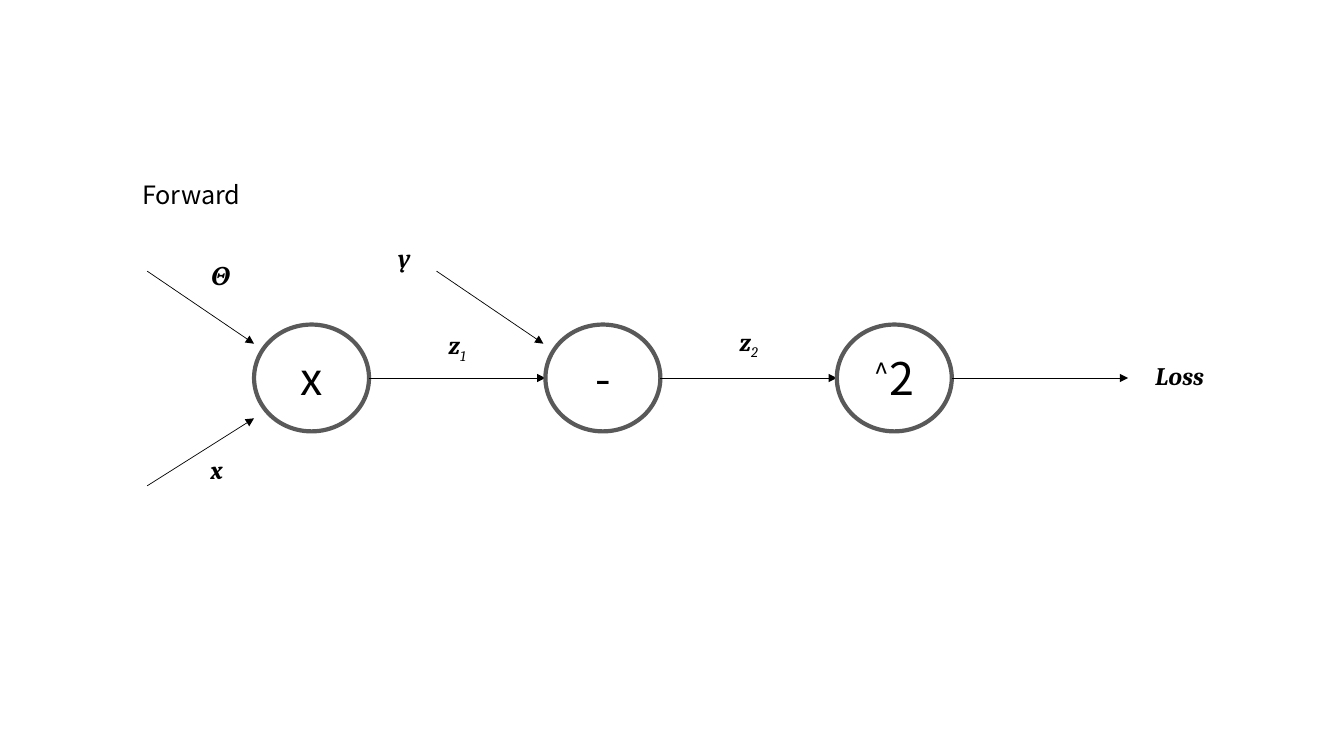
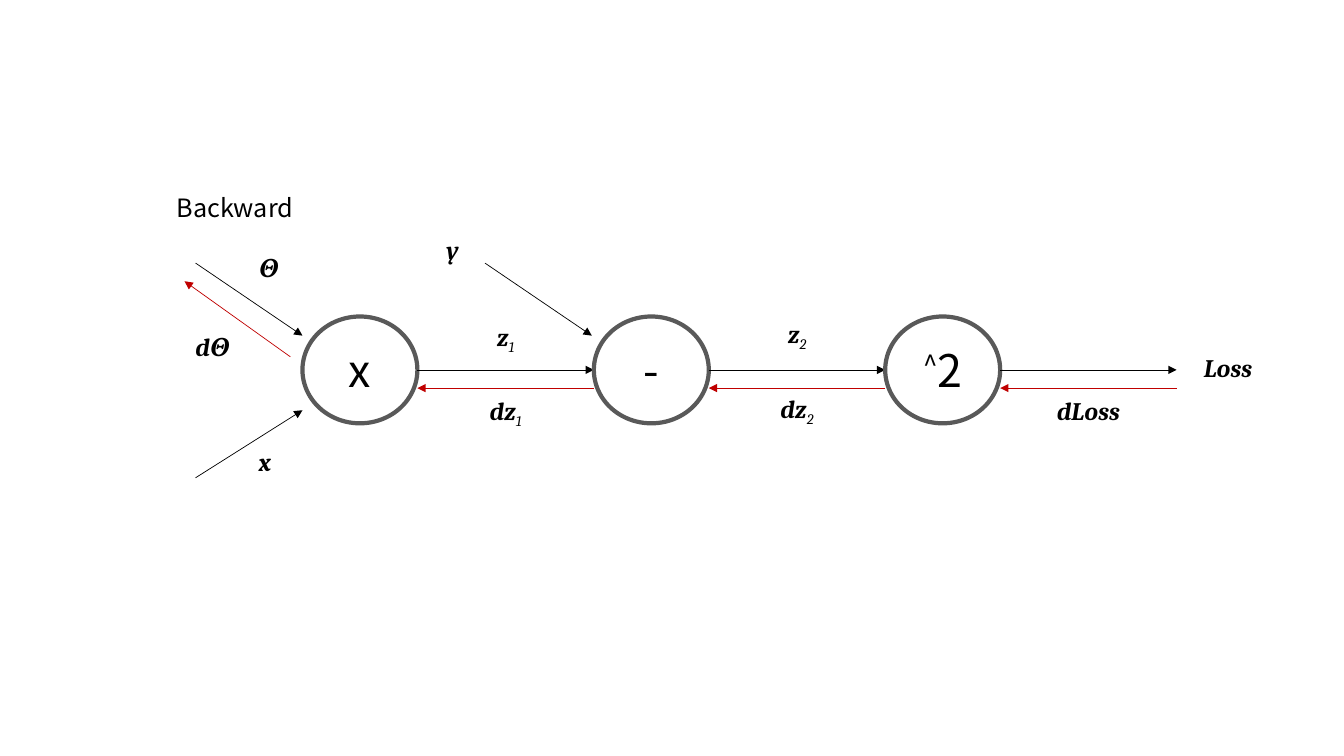
from lxml import etree
from pptx import Presentation
from pptx.dml.color import RGBColor
from pptx.enum.shapes import MSO_CONNECTOR, MSO_SHAPE
from pptx.enum.text import MSO_ANCHOR, MSO_AUTO_SIZE, PP_ALIGN
from pptx.oxml.ns import qn
from pptx.util import Inches, Pt

LEFT, CENTER = PP_ALIGN.LEFT, PP_ALIGN.CENTER
TOP, MIDDLE = MSO_ANCHOR.TOP, MSO_ANCHOR.MIDDLE
GROW = MSO_AUTO_SIZE.SHAPE_TO_FIT_TEXT
STRAIGHT, ELLIPSE = MSO_CONNECTOR.STRAIGHT, MSO_SHAPE.OVAL

BLACK = RGBColor(0x00, 0x00, 0x00)
WHITE = RGBColor(0xFF, 0xFF, 0xFF)
GRAY = RGBColor(0x59, 0x59, 0x59)
RED = RGBColor(0xC0, 0x00, 0x00)
SANS, SERIF = "Noto Sans CJK KR", "Cambria"

NODE_W, NODE_H, GAP = 1.14, 1.06, 1.75
PITCH = NODE_W + GAP
LABEL_W, GRADIENT_W, LABEL_H = 0.7, 0.96, 0.4
RETURN_DROP = 0.18

SUB, SUPER = -25, 30
OPERATIONS = [[("x", 0)], [("-", 0)], [("^", SUPER), ("2", 0)]]
VALUES = [([("z", 0), ("1", SUB)], -0.53), ([("z", 0), ("2", SUB)], -0.56)]
LOSS = [("Loss", 0)]
# name, node, arrow start, arrow end, label corner
INPUTS = [
    ("Θ", 0, (-1.06, -1.06), (0, -0.34), (-0.53, -1.22)),
    ("x", 0, (-1.06, 1.07), (0, 0.4), (-0.53, 0.71)),
    ("y", 1, (-1.08, -1.06), (-0.02, -0.34), (-1.56, -1.39)),
]
GRADIENTS = [
    ([("dz", 0), ("1", SUB)], 0.2),
    ([("dz", 0), ("2", SUB)], 0.18),
    ([("dLoss", 0)], 0.2),
]
THETA_GRADIENT = ([("dΘ", 0)], (-0.12, -0.13), (-1.17, -0.88), (-1.37, -0.43))

PASSES = [
    {"title": "Forward", "title_at": (1.31, 1.73), "origin": (2.52, 3.75), "gradients": False},
    {"title": "Backward", "title_at": (1.65, 1.86), "origin": (3.0, 3.67), "gradients": True},
]


def write(frame, runs, font=SERIF, size=18, emphasis=True, align=LEFT, anchor=TOP, fit=GROW):
    frame.word_wrap = True
    frame.auto_size = fit
    frame.vertical_anchor = anchor
    line = frame.paragraphs[0]
    line.alignment = align
    for text, shift in runs:
        run = line.add_run()
        run.text = text
        run.font.name = font
        run.font.size = Pt(size)
        run.font.color.rgb = BLACK
        run.font.bold = emphasis and shift == 0
        run.font.italic = emphasis
        if shift:
            run.font._element.set("baseline", str(shift * 1000))


def add_label(slide, runs, left, top, width=LABEL_W, align=CENTER):
    label = slide.shapes.add_textbox(*map(Inches, (left, top, width, LABEL_H)))
    write(label.text_frame, runs, align=align)


def add_arrow(slide, start, end, color=BLACK):
    arrow = slide.shapes.add_connector(STRAIGHT, *map(Inches, (*start, *end)))
    arrow.line.color.rgb = color
    arrow.line.width = Pt(0.5)
    head = etree.SubElement(arrow.line._get_or_add_ln(), qn("a:tailEnd"))
    head.set("type", "triangle")
    etree.SubElement(arrow._element.spPr, qn("a:effectLst"))


def add_node(slide, runs, left, axis):
    node = slide.shapes.add_shape(
        ELLIPSE, *map(Inches, (left, axis - NODE_H / 2, NODE_W, NODE_H)))
    node.shadow.inherit = False
    node.fill.solid()
    node.fill.fore_color.rgb = WHITE
    node.line.color.rgb = GRAY
    node.line.width = Pt(3)
    write(node.text_frame, runs, font=SANS, size=32, emphasis=False,
          align=CENTER, anchor=MIDDLE, fit=MSO_AUTO_SIZE.NONE)


def add_title(slide, text, left, top):
    title = slide.shapes.title
    title.left, title.top, title.width, title.height = map(
        Inches, (left, top, 4.39, LABEL_H))
    write(title.text_frame, [(text, 0)], font=SANS, emphasis=False)


def add_forward(slide, x, axis):
    for i, operation in enumerate(OPERATIONS):
        left = x + i * PITCH
        add_node(slide, operation, left, axis)
        add_arrow(slide, (left + NODE_W, axis), (left + PITCH, axis))
    for i, (value, rise) in enumerate(VALUES):
        middle = x + i * PITCH + NODE_W + GAP / 2
        add_label(slide, value, middle - LABEL_W / 2, axis + rise)
    add_label(slide, LOSS, x + len(OPERATIONS) * PITCH + 0.16, axis - 0.22)
    for name, node, start, end, corner in INPUTS:
        left = x + node * PITCH
        start, end, corner = [(left + dx, axis + dy) for dx, dy in (start, end, corner)]
        add_arrow(slide, start, end)
        add_label(slide, [(name, 0)], *corner, align=LEFT)


def add_gradients(slide, x, axis):
    for i, (gradient, drop) in enumerate(GRADIENTS):
        left = x + i * PITCH + NODE_W
        level = axis + RETURN_DROP
        add_arrow(slide, (left + GAP, level), (left, level), RED)
        add_label(slide, gradient, left + (GAP - GRADIENT_W) / 2, axis + drop, GRADIENT_W)
    name, *points = THETA_GRADIENT
    start, end, corner = [(x + dx, axis + dy) for dx, dy in points]
    add_arrow(slide, start, end, RED)
    add_label(slide, name, *corner, GRADIENT_W)


def main():
    deck = Presentation()
    deck.slide_width, deck.slide_height = Inches(13.33), Inches(7.5)
    title_only = deck.slide_layouts[5]
    for step in PASSES:
        slide = deck.slides.add_slide(title_only)
        add_title(slide, step["title"], *step["title_at"])
        add_forward(slide, *step["origin"])
        if step["gradients"]:
            add_gradients(slide, *step["origin"])
    deck.save("out.pptx")


if __name__ == "__main__":
    main()
